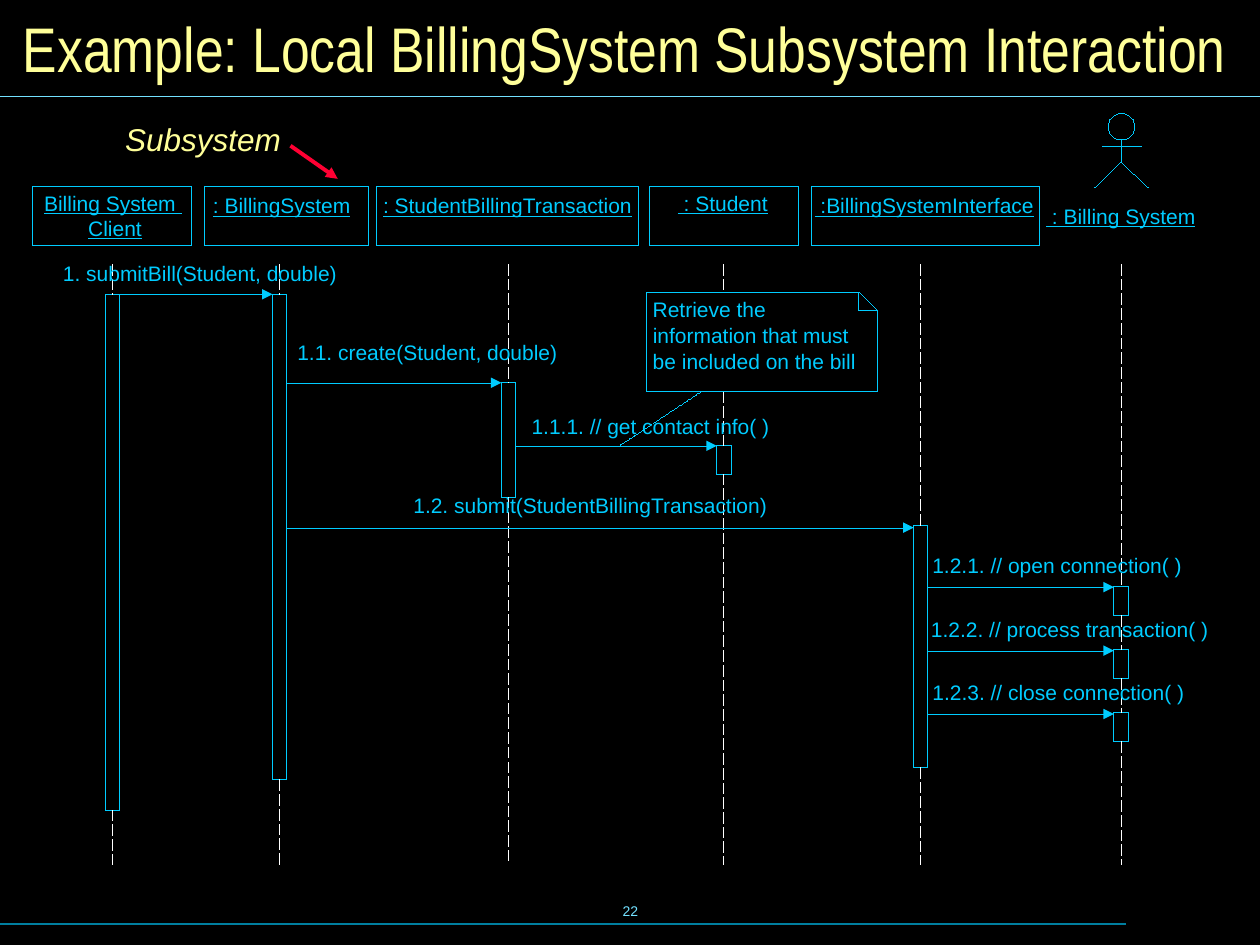
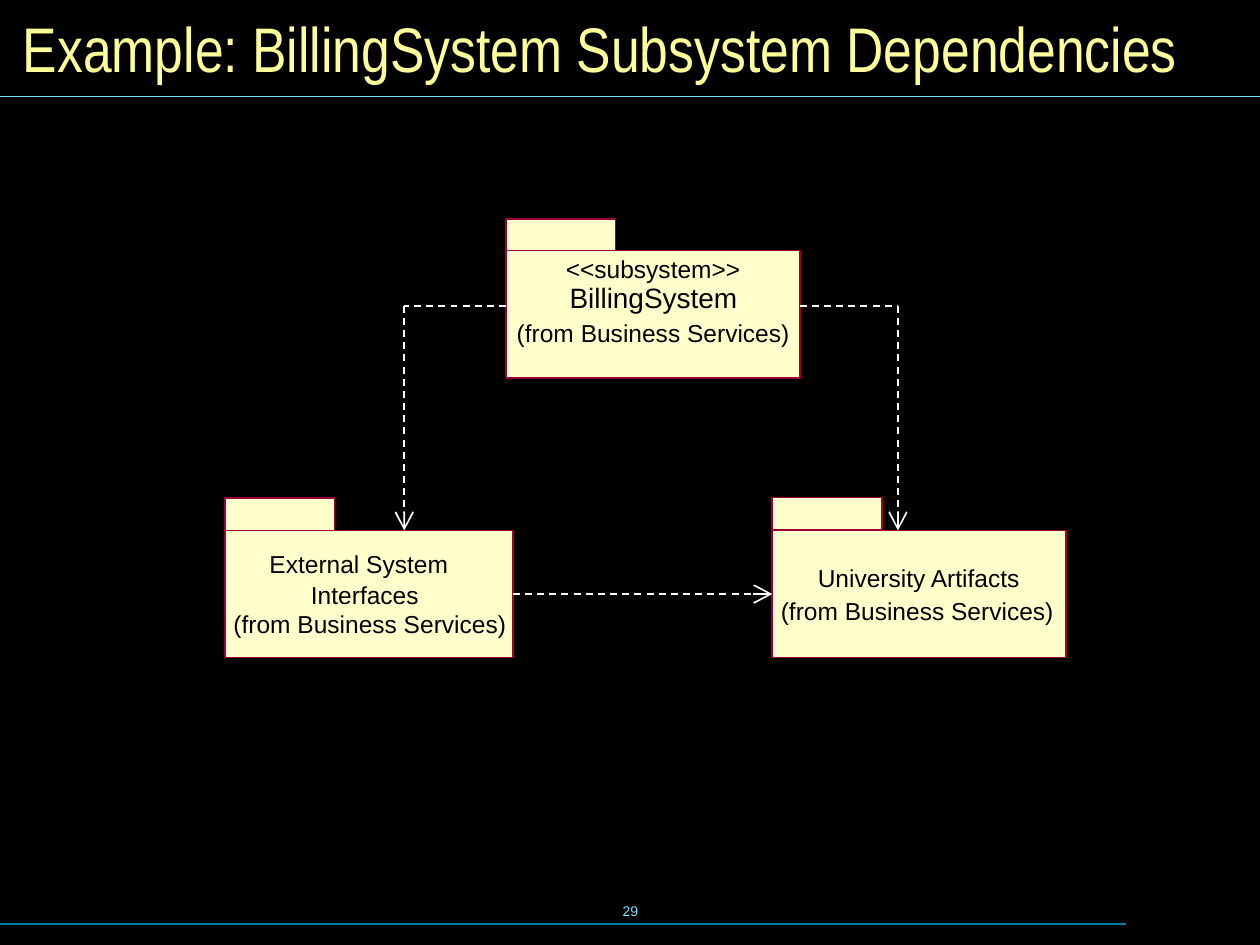
from dataclasses import dataclass
from typing import Optional

from lxml.etree import SubElement
from pptx import Presentation
from pptx.dml.color import RGBColor
from pptx.enum.dml import MSO_LINE
from pptx.enum.shapes import MSO_CONNECTOR, MSO_SHAPE
from pptx.enum.text import MSO_ANCHOR, PP_ALIGN
from pptx.oxml.ns import qn
from pptx.util import Pt

BLACK, WHITE = "000000", "FFFFFF"
CYAN, PALE_CYAN, TEAL = "00CCFF", "73E1FF", "007E9F"
YELLOW, CREAM, MAROON, RED = "FFFF99", "FFFFCC", "990033", "FF0033"
TOP, LEFT, BOTTOM, RIGHT = range(4)
LIFE_TOP, LIFE_END, BAR_W = 151.2, 493.9, 8.2
HEAD_TOP, HEAD_H = 106.6, 33.8
STEP = 36
PACKAGE_H, TAB_W = 72.7, 62.6
SLACK = 4


@dataclass
class Label:
    """One line of text."""
    text: str
    left: float
    top: float
    width: float
    size: float = 12
    color: str = CYAN
    underline: bool = False


@dataclass
class Head:
    """The framed name of a participant."""
    left: float
    width: float
    names: list[Label]


@dataclass
class Lifeline:
    """A dashed lifeline with its activation bars."""
    x: float
    bars: list[tuple[float, float]]
    gap: Optional[tuple[float, float]] = None


@dataclass
class Message:
    """A call from one lifeline to another."""
    source: int
    target: int
    y: float
    label: Label


@dataclass
class Package:
    """A package symbol with its lines of text."""
    left: float
    top: float
    width: float
    tab_h: float
    labels: list[Label]


def name(text: str, left: float, top: float, width: float) -> Label:
    """Return an underlined participant name."""
    return Label(text, left, top, width, underline=True)


def body(text: str, left: float, top: float, width: float, size: float = 14) -> Label:
    """Return a line of package text."""
    return Label(text, left, top, width, size, BLACK)


LIFELINES = [
    Lifeline(64.5, [(168.5, 294.5)]),
    Lifeline(159.8, [(168.5, 277.2)]),
    Lifeline(290.6, [(218.7, 65.5)]),
    Lifeline(413.7, [(254.4, 16.6)], gap=(167, 223.9)),
    Lifeline(526.2, [(300.3, 138.3)]),
    Lifeline(640.6, [(335.4 + STEP * i, 16.6) for i in range(3)]),
]
HEADS = [
    Head(18.5, 91, [name("Billing System ", 25.2, 108.7, 78.5), name("Client", 50.4, 123.1, 31)]),
    Head(116.8, 94, [name(": BillingSystem", 121.7, 110.2, 78.5)]),
    Head(215.2, 149.8, [name(": StudentBillingTransaction", 218.9, 110.2, 142.6)]),
    Head(371.2, 85.2, [name(" : Student", 387.4, 108.7, 51.1)]),
    Head(463.6, 130.6, [name(" :BillingSystemInterface", 465.5, 110.2, 125.3)]),
]
MESSAGES = [
    Message(0, 1, 168.2, Label("1. submitBill(Student, double)", 36, 149, 157)),
    Message(1, 2, 218.7, Label("1.1. create(Student, double)", 169.9, 193.9, 149)),
    Message(2, 3, 254.8, Label("1.1.1. // get contact info( )", 303.8, 236.2, 136.1)),
    Message(1, 4, 301.5, Label("1.2. submit(StudentBillingTransaction)", 236.2, 281.7, 203)),
    Message(4, 5, 335.5, Label("1.2.1. // open connection( )", 532.8, 316, 142.6)),
    Message(4, 5, 371.8, Label("1.2.2. // process transaction( )", 532, 352.3, 159.1)),
    Message(4, 5, 408, Label("1.2.3. // close connection( )", 532.8, 388.2, 144)),
]
NOTE_LINES = [("Retrieve the", 68.4), ("information that must", 115.2), ("be included on the bill", 115.9)]
ORIGIN = "(from Business Services)"
PACKAGES = [
    Package(289.2, 143.2, 167.8, 18, [
        body("<<subsystem>>", 323.3, 145.4, 100),
        body("BillingSystem", 325.5, 160.6, 95.8, 16),
        body(ORIGIN, 295.3, 181.5, 156.1)]),
    Package(128.6, 303.1, 164.5, 18.4, [
        body("External System", 154, 313.9, 105.8),
        body("Interfaces", 177.7, 331.2, 62),
        body(ORIGIN, 133.4, 348, 156.1)]),
    Package(441.3, 303.1, 167.8, 18.8, [
        body("University Artifacts", 467.3, 321.8, 116.6),
        body(ORIGIN, 446.2, 340.6, 156.1)]),
]


def rgb(color: str) -> RGBColor:
    """Turn a hex string into a colour."""
    return RGBColor.from_string(color)


def stroke(shape, color: str, width: float):
    """Set the outline and return its XML element."""
    shape.line.color.rgb = rgb(color)
    ln = shape._element.spPr.find(qn("a:ln"))
    ln.set("w", str(Pt(width)))
    return ln


def line(s, x1: float, y1: float, x2: float, y2: float, color: str, width: float = 0,
         dash=None, head: str = "", head_size: str = "med", begin=None, end=None) -> None:
    """Draw a line, joined to (shape, site) pairs where given."""
    c = s.shapes.add_connector(MSO_CONNECTOR.STRAIGHT, Pt(x1), Pt(y1), Pt(x2), Pt(y2))
    ln = stroke(c, color, width)
    if dash is not None:
        c.line.dash_style = dash
    if head:
        tail = SubElement(ln, qn("a:tailEnd"))
        for key, value in (("type", head), ("w", head_size), ("len", head_size)):
            tail.set(key, value)
    SubElement(c._element.spPr, qn("a:effectLst"))
    if begin:
        c.begin_connect(*begin)
    if end:
        c.end_connect(*end)


def box(s, left: float, top: float, width: float, height: float, color: str = CYAN,
        weight: float = 0, fill: str = "", kind=MSO_SHAPE.RECTANGLE):
    """Draw an outlined preset shape."""
    shape = s.shapes.add_shape(kind, Pt(left), Pt(top), Pt(width), Pt(height))
    shape.shadow.inherit = False
    stroke(shape, color, weight)
    if fill:
        shape.fill.solid()
        shape.fill.fore_color.rgb = rgb(fill)
    else:
        shape.fill.background()
    return shape


def outline(s, points: list[tuple[float, float]], close: bool = False) -> None:
    """Draw an unfilled outline through the points."""
    first, *rest = [(Pt(x), Pt(y)) for x, y in points]
    builder = s.shapes.build_freeform(*first)
    builder.add_line_segments(rest, close=close)
    shape = builder.convert_to_shape()
    shape.shadow.inherit = False
    shape.fill.background()
    stroke(shape, CYAN, 0)


def textbox(s, text: str, left: float, top: float, width: float, height: float,
            size: float, color: str, font: str = "Arial"):
    """Add a one-paragraph text box and return its frame and run."""
    tf = s.shapes.add_textbox(Pt(left), Pt(top), Pt(width), Pt(height)).text_frame
    tf.text = text
    tf.word_wrap = True
    r = tf.paragraphs[0].runs[0]
    r.font.size, r.font.name, r.font.color.rgb = Pt(size), font, rgb(color)
    return tf, r


def label(s, item: Label) -> None:
    """Draw a label without margins, with room to stay on one line."""
    tf, r = textbox(s, item.text, item.left, item.top, item.width + SLACK, item.size * 1.18,
                    item.size, item.color)
    tf.margin_left = tf.margin_right = tf.margin_top = tf.margin_bottom = 0
    if item.underline:
        r.font.underline = True


def new_slide(prs, title: str, number: str):
    """Add a slide with its title, rules and page number."""
    s = prs.slides.add_slide(prs.slide_layouts[6])
    s.background.fill.solid()
    s.background.fill.fore_color.rgb = rgb(BLACK)
    tf, _ = textbox(s, number, 246.2, 502.6, 228.2, 36, 8, PALE_CYAN)
    tf.vertical_anchor = MSO_ANCHOR.MIDDLE
    tf.paragraphs[0].alignment = PP_ALIGN.CENTER
    line(s, 0, 528, 643.7, 528, TEAL, 0.75)
    line(s, 0, 55, 720, 55, PALE_CYAN, 0.75)
    tf, _ = textbox(s, title, 6, 6, 708.5, 42, 36, YELLOW, "Arial Narrow")
    tf.vertical_anchor = MSO_ANCHOR.MIDDLE
    return s


def draw_lifeline(s, life: Lifeline) -> None:
    """Draw the bars and the dashed pieces between them."""
    y, begin = LIFE_TOP, None
    if life.gap:
        line(s, life.x, y, life.x, life.gap[0], WHITE, dash=MSO_LINE.LONG_DASH)
        y = life.gap[1]
    for top, height in life.bars:
        bar = box(s, life.x - BAR_W / 2, top, BAR_W, height)
        line(s, life.x, y, life.x, top, WHITE, dash=MSO_LINE.LONG_DASH,
             begin=begin, end=(bar, TOP))
        y, begin = top + height, (bar, BOTTOM)
    line(s, life.x, y, life.x, LIFE_END, WHITE, dash=MSO_LINE.LONG_DASH, begin=begin)


def draw_actor(s) -> None:
    """Draw the stick figure and its name."""
    box(s, 633.3, 64.8, 15.2, 15.2, kind=MSO_SHAPE.OVAL)
    line(s, 640.6, 79.5, 640.6, 92.5, CYAN)
    line(s, 629.8, 83.5, 652.2, 83.5, CYAN)
    outline(s, [(625.6, 107.4), (640.6, 92.5), (656.4, 107.4)])
    label(s, name(" : Billing System", 597.8, 116.1, 85.5))


def draw_note(s) -> None:
    """Draw the note with its folded corner and anchor line."""
    left, top, right, bottom, fold = 369.3, 167, 501.5, 223.9, 10.2
    outline(s, [(left, top), (right - fold, top), (right, top + fold),
                (right, bottom), (left, bottom)], close=True)
    outline(s, [(right - fold - 0.6, top), (right - fold - 0.6, top + fold), (right, top + fold)])
    for i, (text, width) in enumerate(NOTE_LINES):
        label(s, Label(text, 373, 169.2 + 15.1 * i, width))
    line(s, 400.6, bottom, 354.4, 254.4, CYAN, dash=MSO_LINE.SQUARE_DOT)


def draw_package(s, package: Package):
    """Draw a package and return its body."""
    frame = box(s, package.left, package.top, package.width, PACKAGE_H, MAROON, 1, CREAM)
    box(s, package.left, package.top - package.tab_h, TAB_W, package.tab_h, MAROON, 1, CREAM)
    for item in package.labels:
        label(s, item)
    return frame


def interaction_slide(prs) -> None:
    """Build the sequence diagram."""
    s = new_slide(prs, "Example: Local BillingSystem Subsystem Interaction", "22")
    for life in LIFELINES:
        draw_lifeline(s, life)
    for head in HEADS:
        box(s, head.left, HEAD_TOP, head.width, HEAD_H)
        for item in head.names:
            label(s, item)
    draw_actor(s)
    for m in MESSAGES:
        line(s, LIFELINES[m.source].x + BAR_W / 2, m.y, LIFELINES[m.target].x - BAR_W / 2, m.y,
             CYAN, head="triangle")
        label(s, m.label)
    draw_note(s)
    _, r = textbox(s, "Subsystem", 64.5, 65, 141.8, 28.8, 18, YELLOW)
    r.font.italic = True
    line(s, 166, 83.3, 193, 102.2, RED, 2.25, head="triangle")


def dependencies_slide(prs) -> None:
    """Build the package diagram."""
    s = new_slide(prs, "Example: BillingSystem Subsystem Dependencies", "29")
    billing, external, university = [draw_package(s, package) for package in PACKAGES]
    for edge, x in ((billing.left.pt, 231), (billing.left.pt + billing.width.pt, 513.1)):
        line(s, edge, 174.8, x, 174.8, WHITE, 1, MSO_LINE.DASH)
        line(s, x, 174.8, x, external.top.pt, WHITE, 1, MSO_LINE.DASH, "arrow", "lg")
    line(s, 293.1, 339.4, 441.3, 339.4, WHITE, 1, MSO_LINE.DASH, "arrow", "lg",
         begin=(external, RIGHT), end=(university, LEFT))


def main() -> None:
    """Build and save the presentation."""
    prs = Presentation()
    prs.slide_width, prs.slide_height = Pt(720), Pt(540)
    interaction_slide(prs)
    dependencies_slide(prs)
    prs.save("out.pptx")


if __name__ == "__main__":
    main()
